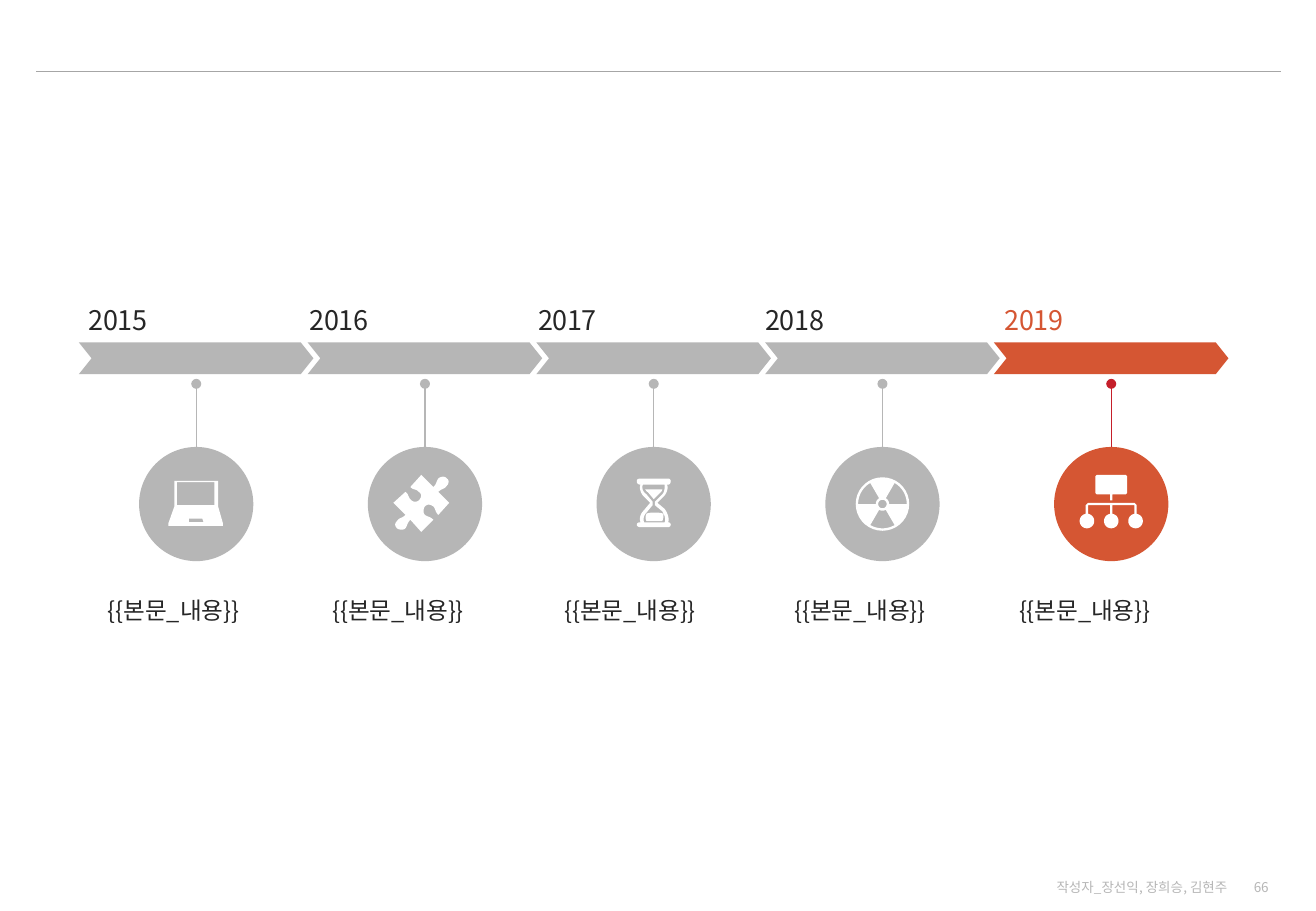
import math
from lxml import etree
from pptx import Presentation
from pptx import util as u
from pptx.dml.color import RGBColor
from pptx.enum import shapes, text
from pptx.oxml.ns import qn

FONT = "Noto Sans CJK KR"
GREY = RGBColor(0xB6, 0xB6, 0xB6)
RULE = RGBColor(0xA6, 0xA6, 0xA6)
DARK = RGBColor(0x26, 0x26, 0x26)
ORANGE = RGBColor(0xD5, 0x56, 0x33)
RED = RGBColor(0xC5, 0x1F, 0x2A)
WHITE = RGBColor(0xFF, 0xFF, 0xFF)

SLIDE_W, SLIDE_H = 10.83, 7.5
TIMELINE = (0.65, 2.45, 9.46, 2.74)  # left, top, width, height
CHEVRON_W, CHEVRON_H, CIRCLE = 1.93, 0.26, 0.94
ICON_UNIT = u.Inches(0.01)


def arc(cx, cy, r, start=0, end=360, steps=36):
    """Points on a circle, angles in degrees clockwise from the right."""
    angles = [math.radians(start + (end - start) * i / steps) for i in range(steps + 1)]
    return [(cx + r * math.cos(a), cy + r * math.sin(a)) for a in angles]


# Icons are contours around the circle's centre, in ICON_UNIT.
# A pair is a corner; six numbers are a Bezier curve (two controls, end).
LAPTOP = [
    [(-6, 12), (-6, 15), (6, 15), (5, 12)],
    [(-16, -18), (-16, 1), (15, 1), (15, -18)],
    [(-18, -19), (18, -19), (18, 2), (22, 16), (22, 18), (-23, 18), (-23, 16), (-18, 2)],
]
PUZZLE = [[
    (18, -21), (20, -20, 20, -17, 18, -15), (16, -12, 14, -13, 11, -10),
    (20, -1), (11, 9), (8, 6, 9, 4, 7, 2), (4, 0, 2, 0, 0, 2),
    (-1, 3, -2, 7, 0, 9), (3, 11, 4, 10, 7, 13), (-3, 23), (-12, 13),
    (-15, 16, -14, 17, -16, 20), (-18, 22, -22, 21, -23, 20),
    (-25, 18, -25, 16, -23, 14), (-21, 11, -19, 12, -16, 9), (-26, -1),
    (-16, -10), (-13, -8, -14, -5, -11, -3), (-9, -1, -6, -2, -5, -3),
    (-3, -5, -2, -8, -5, -10), (-8, -13, -9, -11, -12, -14), (-3, -24),
    (7, -14), (10, -17, 9, -18, 11, -21), (13, -23, 17, -23, 18, -21),
]]
HOURGLASS = [
    [(1, 7), (3, 7, 5, 7, 8, 8), (8, 10, 8, 12, 7, 14), (-6, 14),
     (-7, 12, -7, 10, -6, 8), (-4, 7, -1, 7, 1, 7)],
    [(-7, -12), (7, -12), (7, -11, 6, -10, 6, -10), (0, -4), (-5, -10),
     (-6, -10, -6, -11, -7, -12)],
    [(-9, -16), (-10, -13, -9, -10, -6, -8), (-1, -2), (-1, 1), (-6, 7),
     (-8, 9, -9, 12, -8, 15), (9, 15), (10, 12, 9, 9, 7, 6), (1, 1), (1, -2),
     (7, -8), (9, -10, 9, -13, 9, -16)],
    [(-11, -21), (12, -21), (13, -21, 14, -20, 14, -19), (14, -17, 13, -16, 12, -16),
     (11, -16), (12, -13, 11, -9, 8, -6), (3, -1), (9, 4), (11, 7, 13, 11, 12, 15),
     (13, 15, 14, 16, 14, 17), (14, 18, 13, 19, 12, 19), (-11, 19),
     (-13, 19, -14, 18, -14, 17), (-14, 16, -13, 15, -11, 15),
     (-12, 11, -11, 8, -8, 5), (-3, -1), (-8, -6), (-11, -9, -12, -13, -11, -16),
     (-13, -16, -14, -17, -14, -19), (-14, -20, -13, -21, -11, -21)],
]
RADIATION = [arc(0, 0, 22), arc(0, 0, 3.5)] + [
    arc(0, 0, 20, a, a + 60) + arc(0, 0, 5.5, a + 60, a) for a in (60, 180, 300)]
ORG_CHART = [
    [(-12, -24), (12, -24), (13, -23), (13, -9), (12, -8), (1, -8), (1, -3),
     (-1, -3), (-1, -8), (-12, -8), (-13, -9), (-13, -23)],
    [(-21, 8), (-21, 1), (-19, -1), (19, -1), (21, 1), (21, 8), (19, 8), (19, 1),
     (1, 1), (1, 8), (-1, 8), (-1, 1), (-19, 1), (-19, 8)],
] + [arc(x, 14, 6) for x in (-20, 0, 20)]

# year, left of year, left of caption, icon, fill, year colour, pin colour
STEPS = [
    ("2015", 0.19, 0.79, LAPTOP, GREY, DARK, GREY),
    ("2016", 2.01, 2.64, PUZZLE, GREY, DARK, GREY),
    ("2017", 3.89, 4.55, HOURGLASS, GREY, DARK, GREY),
    ("2018", 5.76, 6.44, RADIATION, GREY, DARK, GREY),
    ("2019", 7.73, 8.29, ORG_CHART, ORANGE, ORANGE, RED),
]


def add_text(s, box, words, size, color, align=text.PP_ALIGN.LEFT,
             anchor=text.MSO_ANCHOR.TOP, line_spacing=None, tracking=None):
    tf = s.shapes.add_textbox(*map(u.Inches, box)).text_frame
    tf.word_wrap = True
    tf.vertical_anchor = anchor
    p = tf.paragraphs[0]
    p.alignment = align
    p.line_spacing = line_spacing
    r = p.add_run()
    r.text = words
    r.font.size, r.font.name = u.Pt(size), FONT
    r.font.color.rgb = color
    rpr = r.font._element
    etree.SubElement(rpr, qn("a:ea")).set("typeface", FONT)
    if tracking:
        rpr.set("spc", str(round(tracking * 100)))


def paint(sp, color):
    sp.shadow.inherit = False
    sp.fill.solid()
    sp.fill.fore_color.rgb = color
    sp.line.fill.background()


def add_filled(s, kind, box, color):
    sp = s.shapes.add_shape(kind, *map(u.Inches, box))
    paint(sp, color)
    return sp


def add_line(s, x1, y1, x2, y2, color):
    line = s.shapes.add_connector(shapes.MSO_CONNECTOR.STRAIGHT,
                                  *map(u.Inches, (x1, y1, x2, y2)))
    line.line.color.rgb = color
    line.line.width = u.Pt(0.75)
    etree.SubElement(line._element.spPr, qn("a:effectLst"))
    return line


def flatten(contour, steps=6):
    """Turn the curves of a contour into short straight pieces."""
    points = []
    for node in contour:
        if len(node) == 2:
            points.append(node)
            continue
        (x0, y0), (x1, y1, x2, y2, x3, y3) = points[-1], node
        for i in range(1, steps + 1):
            t = i / steps
            k = ((1 - t) ** 3, 3 * t * (1 - t) ** 2, 3 * t * t * (1 - t), t ** 3)
            points.append((sum(a * b for a, b in zip(k, (x0, x1, x2, x3))),
                           sum(a * b for a, b in zip(k, (y0, y1, y2, y3)))))
    return points


def add_icon(s, contours, cx, cy):
    builder = None
    for contour in contours:
        first, *rest = [(u.Inches(cx) + x * ICON_UNIT, u.Inches(cy) + y * ICON_UNIT)
                        for x, y in flatten(contour)]
        if builder is None:
            builder = s.shapes.build_freeform(*first)
        else:
            builder.move_to(*first)
        builder.add_line_segments(rest, close=True)
    paint(builder.convert_to_shape(), WHITE)


def add_timeline(s, box):
    left, top, width, height = box
    pitch = (width - CHEVRON_W) / (len(STEPS) - 1)
    circle_top = top + 1.23
    for i, (year, year_x, caption_x, icon, fill, year_color, pin_color) in enumerate(STEPS):
        x = left + i * pitch
        cx = x + CHEVRON_W / 2
        chevron = add_filled(s, shapes.MSO_SHAPE.CHEVRON,
                             (x, top + 0.37, CHEVRON_W, CHEVRON_H), fill)
        chevron.adjustments[0] = 0.4
        add_text(s, (year_x, top, 1.56, 0.36), year, 16, year_color,
                 align=text.PP_ALIGN.CENTER, tracking=-0.2)
        circle = add_filled(s, shapes.MSO_SHAPE.OVAL,
                            (cx - CIRCLE / 2, circle_top, CIRCLE, CIRCLE), fill)
        pin = add_line(s, cx, top + 0.71, cx, circle_top, pin_color)
        pin.end_connect(circle, 0)
        etree.SubElement(pin.line._get_or_add_ln(), qn("a:headEnd")).set("type", "oval")
        add_icon(s, icon, cx, circle_top + CIRCLE / 2)
        add_text(s, (caption_x, top + height - 0.38, 1.67, 0.38), "{{본문_내용}}", 14, DARK,
                 line_spacing=1.2, tracking=-0.2)


def add_frame(s):
    """Header rule, author line and page number."""
    right = SLIDE_W - 0.29
    add_line(s, 0.3, 0.59, right, 0.59, RULE)
    for x, w, words in ((8.52, 1.68, "작성자_장선익, 장희승, 김현주"), (right - 0.41, 0.41, "66")):
        add_text(s, (x, SLIDE_H - 0.28, w, 0.16), words, 8, GREY,
                 align=text.PP_ALIGN.RIGHT, anchor=text.MSO_ANCHOR.MIDDLE)


def main():
    prs = Presentation()
    prs.slide_width, prs.slide_height = u.Inches(SLIDE_W), u.Inches(SLIDE_H)
    s = prs.slides.add_slide(prs.slide_layouts[6])
    add_frame(s)
    add_timeline(s, TIMELINE)
    prs.save("out.pptx")


if __name__ == "__main__":
    main()
